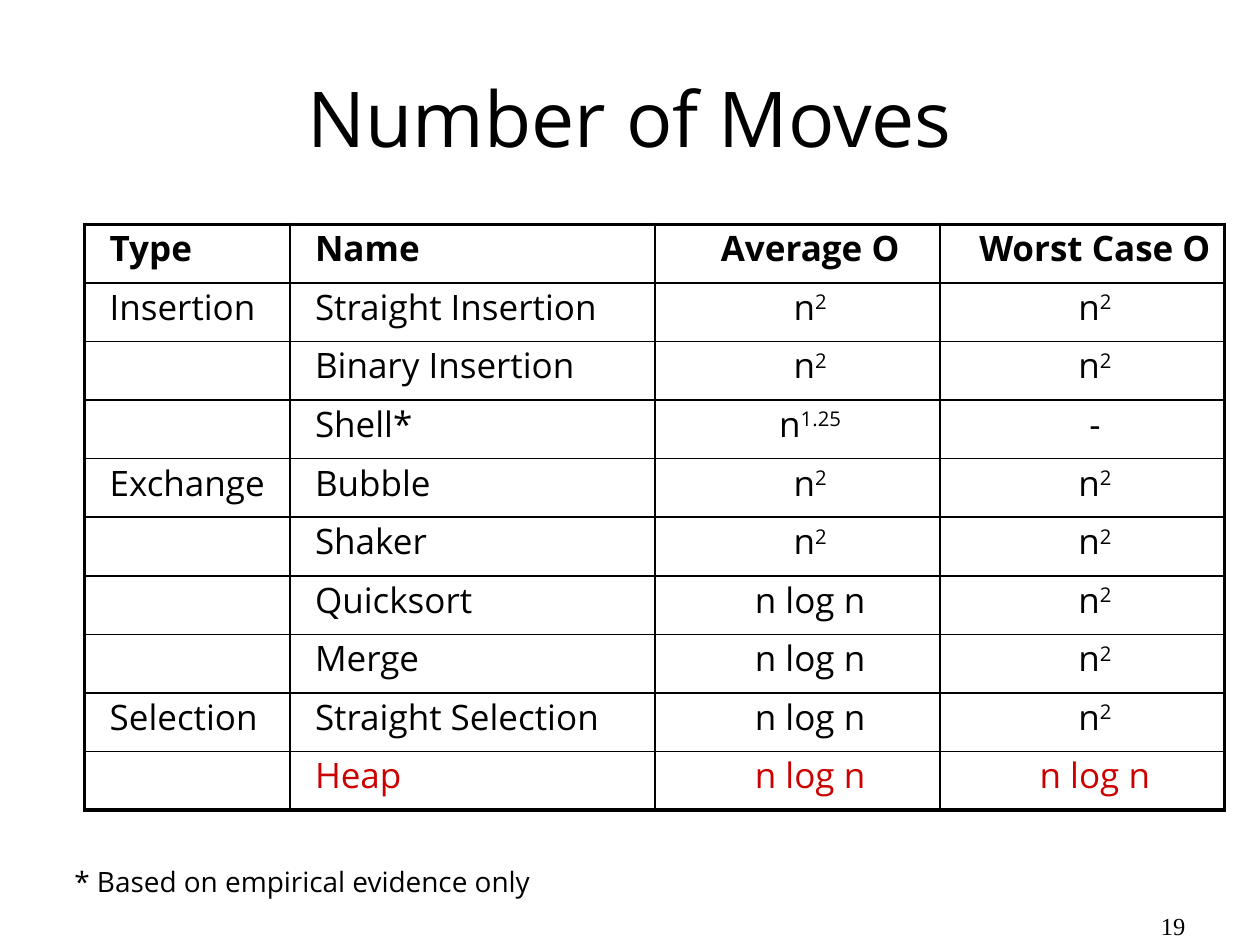
import pptx
import pptx.util
import pptx.dml.color
import pptx.enum.text
import pptx.oxml.ns
from lxml import etree

Inches, Pt = pptx.util.Inches, pptx.util.Pt
ALIGN = pptx.enum.text.PP_ALIGN
BLACK = pptx.dml.color.RGBColor(0x00, 0x00, 0x00)
RED = pptx.dml.color.RGBColor(0xCC, 0x00, 0x00)
SANS, SERIF = "Open Sans", "Times New Roman"

WIDTHS = [1.63, 2.9, 2.26, 2.26]
# "^" marks the start of a superscript
ROWS = [
    ["Type", "Name", "Average O", "Worst Case O"],
    ["Insertion", "Straight Insertion", "n^2", "n^2"],
    ["", "Binary Insertion", "n^2", "n^2"],
    ["", "Shell*", "n^1.25", "-"],
    ["Exchange", "Bubble", "n^2", "n^2"],
    ["", "Shaker", "n^2", "n^2"],
    ["", "Quicksort", "n log n", "n^2"],
    ["", "Merge", "n log n", "n^2"],
    ["Selection", "Straight Selection", "n log n", "n^2"],
    ["", "Heap", "n log n", "n log n"],
]


def style(para, size, face, color=BLACK):
    para.font.size = Pt(size)
    para.font.name = face
    para.font.color.rgb = color


def border(cell, side, width):
    props = cell._tc.get_or_add_tcPr()
    line = etree.SubElement(props, pptx.oxml.ns.qn("a:ln" + side), w=str(Pt(width)))
    fill = etree.SubElement(line, pptx.oxml.ns.qn("a:solidFill"))
    etree.SubElement(fill, pptx.oxml.ns.qn("a:srgbClr"), val=str(BLACK))


deck = pptx.Presentation()
deck.slide_width, deck.slide_height = Inches(10), Inches(7.5)
slide = deck.slides.add_slide(deck.slide_layouts[5])

# Title
title = slide.shapes.title
title.left, title.top = Inches(0.5), Inches(0.3)
title.width, title.height = Inches(9), Inches(1.25)
title.text_frame.text = "Number of Moves"
style(title.text_frame.paragraphs[0], 44, SANS)

# Table of sorting methods
frame = slide.shapes.add_table(len(ROWS), len(WIDTHS), Inches(0.67), Inches(1.78),
                               Inches(sum(WIDTHS)), Inches(4.65))
table = frame.table
table.first_row = table.horz_banding = False
for col, width in zip(table.columns, WIDTHS):
    col.width = Inches(width)

last_row, last_col = len(ROWS) - 1, len(WIDTHS) - 1
for i, row in enumerate(ROWS):
    for j, text in enumerate(row):
        cell = table.cell(i, j)
        cell.margin_left = cell.margin_right = 0
        cell.margin_top = cell.margin_bottom = 0

        # Heavy outer frame, thin inner lines
        outer = {"L": j == 0, "R": j == last_col, "T": i == 0, "B": i == last_row}
        for side, heavy in outer.items():
            border(cell, side, 2.25 if heavy else 1)
        cell.fill.background()

        para = cell.text_frame.paragraphs[0]
        style(para, 20, SANS, RED if i == last_row else BLACK)
        para.font.bold = i == 0
        para.alignment = ALIGN.CENTER if j > 1 else ALIGN.LEFT
        para._p.get_or_add_pPr().set("indent", str(Inches(0.2)))
        base, _, power = text.partition("^")
        if base:
            para.add_run().text = base
        if power:
            run = para.add_run()
            run.text = power
            run.font._element.set("baseline", "30000")

# Footnote
note = slide.shapes.add_textbox(Inches(0.59), Inches(6.9), Inches(9.06), Inches(0.23))
body = note.text_frame
body.word_wrap = True
body.margin_left = body.margin_right = body.margin_top = body.margin_bottom = 0
body.text = "* Based on empirical evidence only"
body.paragraphs[0].line_spacing = 0.85
style(body.paragraphs[0], 16, SANS)

# Page number
page = slide.shapes.add_textbox(Inches(8.62), Inches(7.22), Inches(1.38), Inches(0.28))
page.text_frame.word_wrap = True
page.text_frame.text = "19"
para = page.text_frame.paragraphs[0]
para.alignment = ALIGN.CENTER
para.line_spacing = 0.85
style(para, 14, SERIF)

deck.save("out.pptx")
